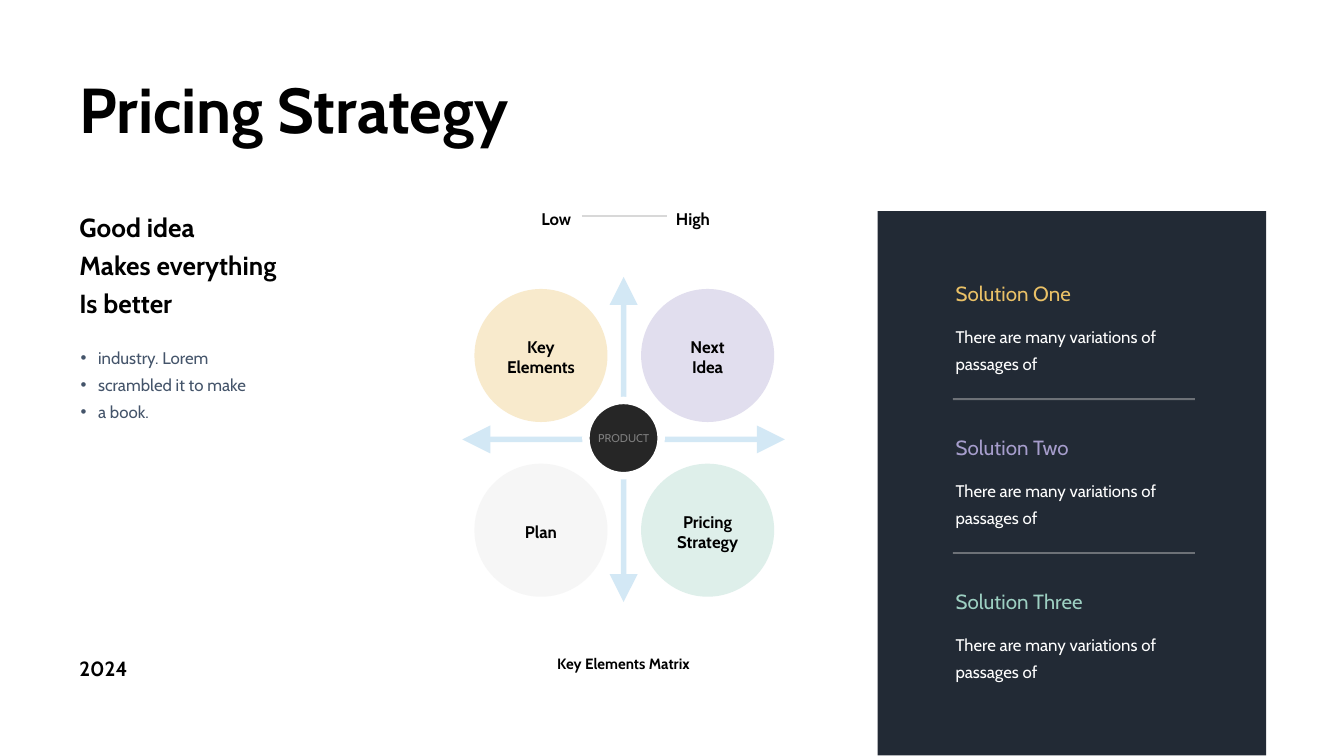
from lxml.etree import SubElement
from pptx import Presentation
from pptx.dml.color import RGBColor
from pptx.enum.shapes import MSO_CONNECTOR as CONN, MSO_SHAPE as SHAPE
from pptx.enum.text import MSO_AUTO_SIZE as AUTO, PP_ALIGN as ALIGN
from pptx.oxml.ns import qn
from pptx.util import Inches, Pt

FONT = "Cabin"
BLACK, WHITE, NAVY, SLATE = "000000", "FFFFFF", "222A35", "44546A"
GOLD, LILAC, MINT, GREY = "EAC167", "A69DCC", "9DD0C2", "F2F2F2"


def paint(color, value, alpha=100):
    color.rgb = RGBColor.from_string(value)
    if alpha < 100:
        clr = color._xFill.find(qn("a:srgbClr"))
        SubElement(clr, qn("a:alpha"), val=str(alpha * 1000))


def add_text(shapes, box, lines, size, color=BLACK, bold=False,
             align=ALIGN.LEFT, spacing=None, bullet=False):
    sp = shapes.add_textbox(*map(Inches, box))
    tf = sp.text_frame
    tf.word_wrap = True
    tf.auto_size = AUTO.SHAPE_TO_FIT_TEXT
    tf.margin_left = tf.margin_right = Inches(0.07)
    tf.margin_top = tf.margin_bottom = Inches(0.04)
    tf.text = "\n".join(lines)
    for p in tf.paragraphs:
        p.alignment = align
        if spacing:
            p.line_spacing = spacing
        if bullet:
            pPr = p._p.get_or_add_pPr()
            pPr.set("marL", str(Inches(0.14)))
            pPr.set("indent", str(Inches(-0.13)))
            clr = SubElement(pPr, qn("a:buClr"))
            SubElement(clr, qn("a:srgbClr"), val=color)
            SubElement(pPr, qn("a:buFont"), typeface="Arial")
            SubElement(pPr, qn("a:buChar"), char="•")
        for r in p.runs:
            r.font.name, r.font.size, r.font.bold = FONT, Pt(size), bold
            paint(r.font.color, color)
    return sp


def add_solid(shapes, kind, box, fill, alpha=100, outline=None):
    sp = shapes.add_shape(kind, *map(Inches, box))
    sp.shadow.inherit = False
    sp.fill.solid()
    paint(sp.fill.fore_color, fill, alpha)
    if outline:
        paint(sp.line.color, outline)
        sp.line.width = Pt(4)
    else:
        sp.line.fill.background()
    return sp


def add_line(shapes, ends, color, width=1, alpha=100, arrows=False):
    cx = shapes.add_connector(CONN.STRAIGHT, *map(Inches, ends))
    cx.line.width = Pt(width)
    paint(cx.line.color, color, alpha)
    if arrows:
        ln = cx.line._get_or_add_ln()
        for tag in ("a:headEnd", "a:tailEnd"):
            SubElement(ln, qn(tag), type="triangle", w="lg", len="lg")
    SubElement(cx._element.spPr, qn("a:effectLst"))
    return cx


def build_intro(shapes, x, y, w):
    add_text(shapes, (x, y, w, 0.77), ["Good idea", "Makes everything", "Is better"],
             14, bold=True, spacing=1.22)
    add_text(shapes, (x, y + 1.02, 1.53, 0.57),
             ["industry. Lorem", "scrambled it to make", "a book."],
             9, SLATE, spacing=1.33, bullet=True)
    add_text(shapes, (x, y + 3.36, w, 0.25), ["2024"], 11, bold=True)


def build_matrix(shapes, x, y, w):
    mid_x, mid_y = x + w / 2, y + 1.76
    add_line(shapes, (mid_x - 0.31, y + 0.1, mid_x + 0.32, y + 0.1), "D8D8D8")
    add_text(shapes, (mid_x - 0.89, y, 0.57, 0.23), ["Low"], 9, bold=True, align=ALIGN.RIGHT)
    add_text(shapes, (mid_x + 0.32, y, 0.57, 0.23), ["High"], 9, bold=True)

    size = 0.99
    quadrants = [
        (["Key Elements"], GOLD, 33, 0.73, 0.38),
        (["Next", "Idea"], LILAC, 33, 0.73, 0.38),
        (["Plan"], GREY, 68, 0.53, 0.23),
        (["Pricing Strategy"], MINT, 33, 0.9, 0.38),
    ]
    for i, (lines, color, alpha, tw, th) in enumerate(quadrants):
        row, col = divmod(i, 2)
        left, top = mid_x - 1.11 + 1.24 * col, y + 0.64 + 1.3 * row
        add_solid(shapes, SHAPE.OVAL, (left, top, size, size), color, alpha)
        text_top = top + (size - th) / 2 + 0.01
        add_text(shapes, (left + (size - tw) / 2, text_top, tw, th), lines, 9,
                 bold=True, align=ALIGN.CENTER)

    for dx, dy in ((0, 1.21), (1.2, 0)):
        add_line(shapes, (mid_x - dx, mid_y - dy, mid_x + dx, mid_y + dy),
                 "4AA1D9", 3, 23, arrows=True)

    hub = shapes.add_group_shape().shapes
    add_solid(hub, SHAPE.OVAL, (mid_x - 0.28, mid_y - 0.29, 0.56, 0.56), "262626", outline=WHITE)
    add_text(hub, (mid_x - 0.31, mid_y - 0.1, 0.62, 0.18), ["PRODUCT"], 6, "7F7F7F",
             align=ALIGN.CENTER)
    add_text(shapes, (x, y + 3.32, w, 0.2), ["Key Elements Matrix"], 8, bold=True,
             align=ALIGN.CENTER)


def build_solutions(shapes, x, y, w, h):
    add_solid(shapes, SHAPE.RECTANGLE, (x, y, w, h), NAVY)
    pitch = 2.29 / 2
    names = [("Solution One", GOLD), ("Solution Two", LILAC), ("Solution Three", MINT)]
    for i, (name, color) in enumerate(names):
        left, top = x + 0.51, y + 0.48 + pitch * i
        group = shapes.add_group_shape().shapes
        add_text(group, (left, top, 1.24, 0.25), [name], 11, color)
        add_text(group, (left, top + 0.29, 1.73, 0.41),
                 ["There are many variations of passages of"], 9, WHITE, spacing=1.33)
        if i < len(names) - 1:
            rule = top + 0.92
            add_line(shapes, (left + 0.05, rule, left + 1.85, rule), "BFBFBF", alpha=48)


def main():
    prs = Presentation()
    prs.slide_width, prs.slide_height = Inches(10), Inches(10 * 9 / 16)
    s = prs.slides.add_slide(prs.slide_layouts[6])
    add_text(s.shapes, (0.52, 0.48, 7.13, 0.65), ["Pricing Strategy"], 34, bold=True)
    build_intro(s.shapes, 0.52, 1.48, 2.35)
    build_matrix(s.shapes, 3.75, 1.51, 1.78)
    build_solutions(s.shapes, 6.53, 1.57, 2.89, 4.05)
    prs.save("out.pptx")


if __name__ == "__main__":
    main()
